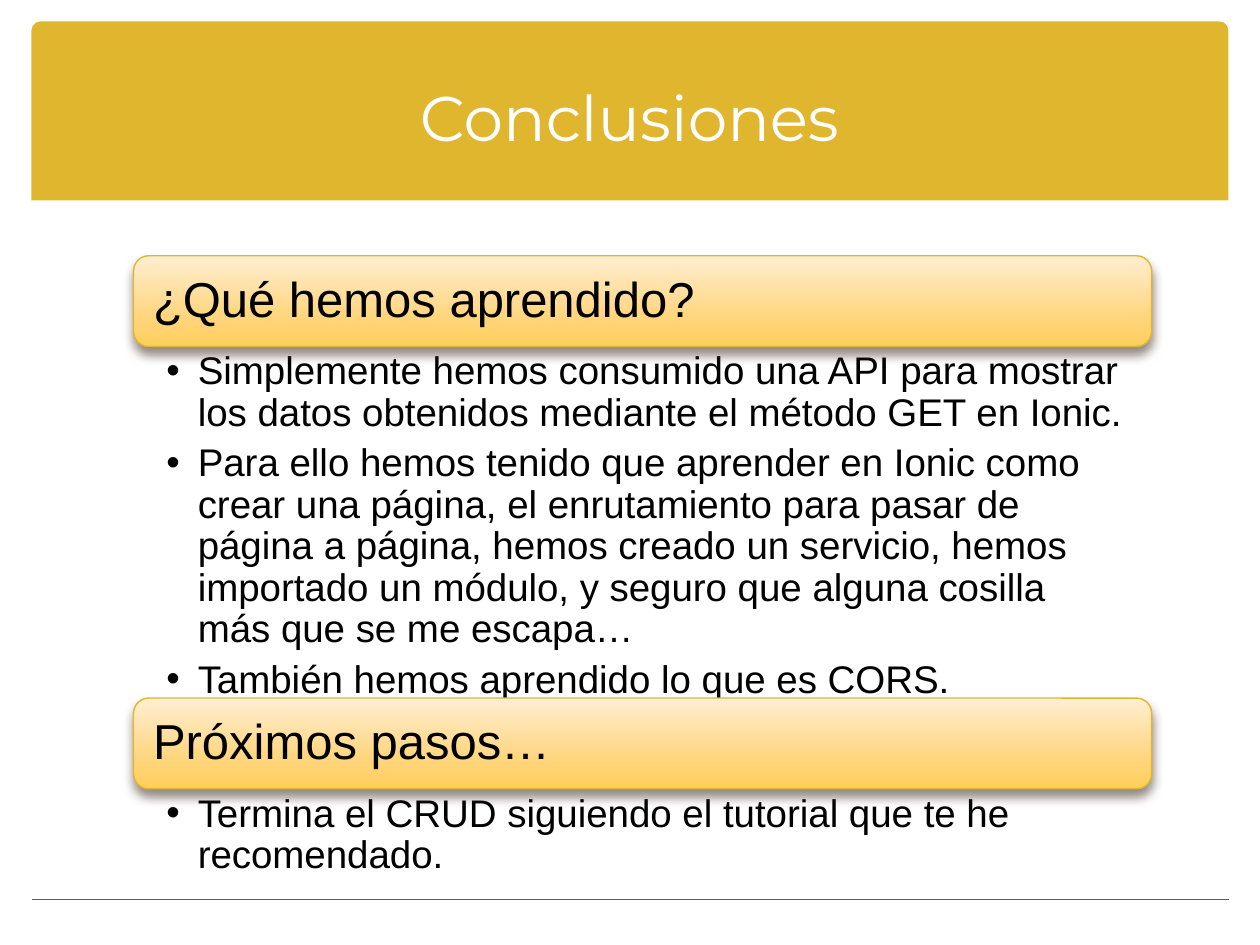
from dataclasses import dataclass

from lxml.etree import SubElement
from pptx import Presentation
from pptx.dml.color import RGBColor
from pptx.enum.shapes import MSO_CONNECTOR, MSO_SHAPE
from pptx.enum.text import MSO_ANCHOR, MSO_AUTO_SIZE, PP_ALIGN
from pptx.oxml.ns import qn
from pptx.util import Inches, Pt


@dataclass
class Theme:
    gold: str = "E0B62E"
    rule: str = "5D5C64"
    shade: str = "4E3B30"
    white: str = "FFFFFF"
    black: str = "000000"
    fade: tuple = ((0, "FFEED2"), (72, "FFD478"), (100, "FFCE5B"))
    head: str = "Montserrat"
    body: str = "Arial"
    title: int = 36
    bar: int = 28
    item: int = 22


theme = Theme()
parts = [
    ("¿Qué hemos aprendido?", 2.03, 2.79, [
        "Simplemente hemos consumido una API para mostrar los datos obtenidos "
        "mediante el método GET en Ionic.",
        "Para ello hemos tenido que aprender en Ionic como crear una página, "
        "el enrutamiento para pasar de página a página, hemos creado un "
        "servicio, hemos importado un módulo, y seguro que alguna cosilla "
        "más que se me escapa…",
        "También hemos aprendido lo que es CORS.",
    ]),
    ("Próximos pasos…", 5.54, 0.71, [
        "Termina el CRUD siguiendo el tutorial que te he recomendado.",
    ]),
]
left, width, tall = 1.06, 8.08, 0.72


def style(para, name, size, color):
    para.font.name = name
    para.font.size = Pt(size)
    para.font.color.rgb = RGBColor.from_string(color)


def setup(frame, anchor, sides):
    frame.word_wrap = True
    frame.auto_size = MSO_AUTO_SIZE.NONE
    frame.vertical_anchor = anchor
    (frame.margin_left, frame.margin_top,
     frame.margin_right, frame.margin_bottom) = map(Inches, sides)


prs = Presentation()
prs.slide_width, prs.slide_height = Inches(10), Inches(7.5)
slide = prs.slides.add_slide(prs.slide_layouts[3])
shapes = slide.shapes

# Title band, behind the title
band = shapes.add_shape(MSO_SHAPE.ROUND_2_SAME_RECTANGLE, Inches(0.25),
                        Inches(0.17), Inches(9.5), Inches(1.42))
band.adjustments[0], band.adjustments[1] = 0.05, 0
band.shadow.inherit = False
band.fill.solid()
band.fill.fore_color.rgb = RGBColor.from_string(theme.gold)
band.line.fill.background()
shapes.title._element.addprevious(band._element)

# Footer rule
rule = shapes.add_connector(MSO_CONNECTOR.STRAIGHT, Inches(0.25),
                            Inches(7.14), Inches(9.75), Inches(7.14))
rule.line.color.rgb = RGBColor.from_string(theme.rule)
rule.line.width = Pt(1)
SubElement(rule._element.spPr, qn("a:effectLst"))

# Title
title = shapes.title
title.left, title.top = Inches(0.33), Inches(0.3)
title.width, title.height = Inches(9.33), Inches(1.25)
setup(title.text_frame, MSO_ANCHOR.MIDDLE, (0.1, 0.05, 0.1, 0.05))
para = title.text_frame.paragraphs[0]
para.text = "Conclusiones"
para.alignment = PP_ALIGN.CENTER
style(para, theme.head, theme.title, theme.white)

for num, (name, top, depth, items) in enumerate(parts, 1):
    # Heading bar with gradient and soft shadow
    bar = shapes.add_shape(MSO_SHAPE.ROUNDED_RECTANGLE, Inches(left),
                           Inches(top), Inches(width), Inches(tall))
    bar.fill.gradient()
    bar.fill.gradient_angle = 270
    stops = bar._element.spPr.find(".//" + qn("a:gsLst"))
    for stop in list(stops):
        stops.remove(stop)
    for pos, color in theme.fade:
        stop = SubElement(stops, qn("a:gs"), pos=str(pos * 1000))
        SubElement(stop, qn("a:srgbClr"), val=color)
    bar.line.color.rgb = RGBColor.from_string(theme.gold)
    bar.line.width = Pt(0.79)
    bar.shadow.inherit = False
    glow = SubElement(bar._element.spPr.find(qn("a:effectLst")),
                      qn("a:outerShdw"), blurRad=str(Pt(6)),
                      dist=str(Pt(4)), dir="5400000", rotWithShape="0")
    tint = SubElement(glow, qn("a:srgbClr"), val=theme.shade)
    SubElement(tint, qn("a:alpha"), val="60000")
    setup(bar.text_frame, MSO_ANCHOR.MIDDLE, (0.12,) * 4)
    para = bar.text_frame.paragraphs[0]
    para.text = name
    para.alignment = PP_ALIGN.LEFT
    para.line_spacing = 0.9
    style(para, theme.body, theme.bar, theme.black)

    # Bullet list under the bar
    body = slide.placeholders[num]
    body.left, body.top = Inches(left), Inches(top + tall)
    body.width, body.height = Inches(width), Inches(depth)
    frame = body.text_frame
    setup(frame, MSO_ANCHOR.TOP, (0.26, 0.04, 0.22, 0.04))
    frame.text = "\n".join(items)
    for para in frame.paragraphs:
        para.line_spacing = 0.9
        para.space_before, para.space_after = Pt(0), Pt(5)
        props = para._p.get_or_add_pPr()
        props.set("marL", str(Inches(0.25)))
        props.set("indent", str(Inches(-0.25)))
        SubElement(props, qn("a:buFont"), typeface=theme.body)
        SubElement(props, qn("a:buChar"), char="•")
        style(para, theme.body, theme.item, theme.black)

prs.save("out.pptx")
